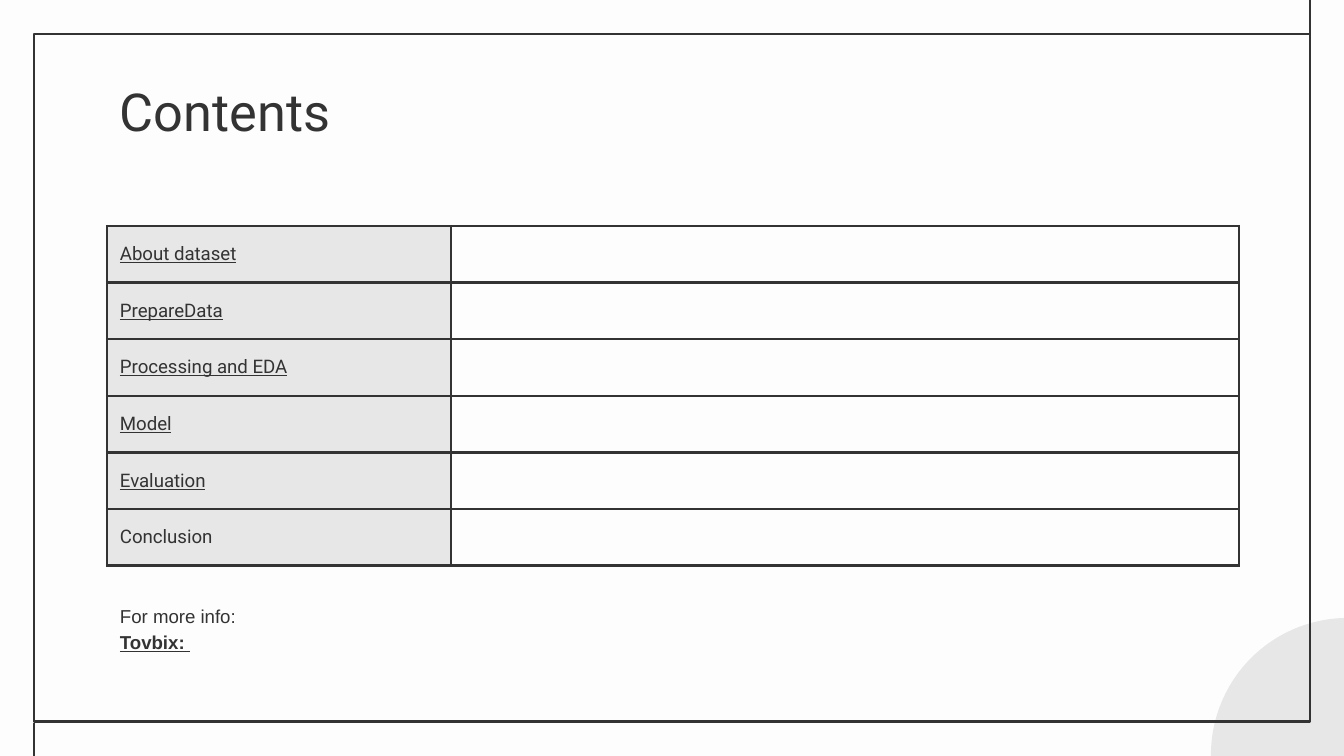
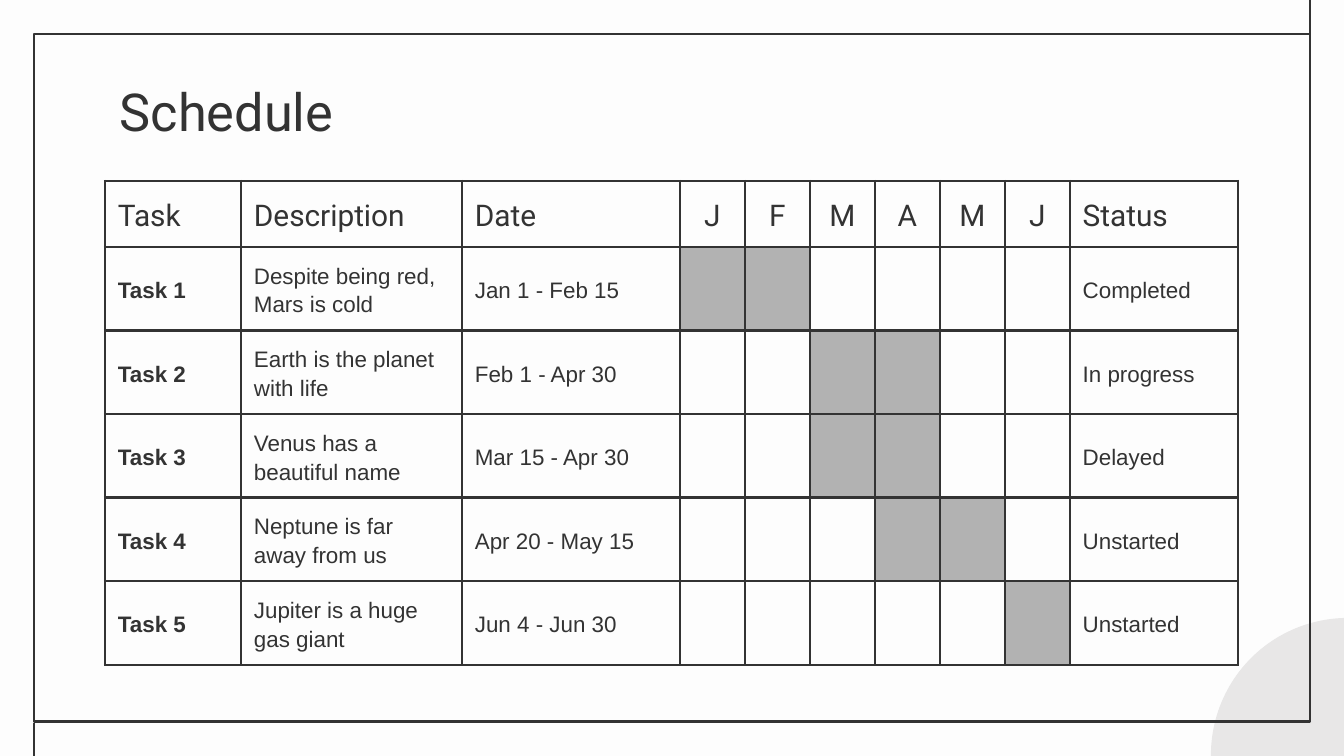
from lxml import etree
from pptx import Presentation
from pptx.dml.color import RGBColor
from pptx.enum.shapes import MSO_CONNECTOR, MSO_SHAPE
from pptx.enum.text import MSO_ANCHOR, PP_ALIGN
from pptx.oxml.ns import qn
from pptx.util import Pt

PX = 914400 / 134.4
INSET = round(13 * PX)

INK = RGBColor(0x33, 0x33, 0x33)
PAPER = RGBColor(0xFD, 0xFD, 0xFD)
PALE = RGBColor(0xE8, 0xE7, 0xE7)
BAR = RGBColor(0xB2, 0xB2, 0xB2)

OVAL, RECTANGLE = MSO_SHAPE.OVAL, MSO_SHAPE.RECTANGLE
STRAIGHT = MSO_CONNECTOR.STRAIGHT
MIDDLE = MSO_ANCHOR.MIDDLE
LEFT, CENTER = PP_ALIGN.LEFT, PP_ALIGN.CENTER


def write(frame, text, size=12, font="Arial", bold=False, underline=False,
          align=LEFT, spacing=1.0):
    """Append a run to the last paragraph of a text frame."""
    paragraph = frame.paragraphs[-1]
    paragraph.alignment = align
    paragraph.line_spacing = spacing
    run = paragraph.add_run()
    run.text = text
    run.font.size = Pt(size)
    run.font.name = font
    run.font.bold = bold
    run.font.underline = underline
    run.font.color.rgb = INK


def add_grid(slide, left, top, widths, heights):
    """Add a ruled table with unfilled, vertically centred cells."""
    box = (left, top, sum(widths), sum(heights))
    table = slide.shapes.add_table(len(heights), len(widths),
                                   *(round(n * PX) for n in box)).table
    table.first_row = table.horz_banding = False
    for column, width in zip(table.columns, widths):
        column.width = round(width * PX)
    for row, height in zip(table.rows, heights):
        row.height = round(height * PX)
    for cell in table.iter_cells():
        cell.vertical_anchor = MIDDLE
        cell.margin_left = cell.margin_right = INSET
        cell.margin_top = cell.margin_bottom = 0
        properties = cell._tc.get_or_add_tcPr()
        for side in ("a:lnL", "a:lnR", "a:lnT", "a:lnB"):
            border = etree.SubElement(properties, qn(side), w=str(Pt(1.5)))
            fill = etree.SubElement(border, qn("a:solidFill"))
            etree.SubElement(fill, qn("a:srgbClr"), val=str(INK))
        cell.fill.background()
    return table


prs = Presentation()
prs.slide_width, prs.slide_height = round(1344 * PX), round(756 * PX)

# Background, frame and title of every slide
slides = []
for title in ("Contents", "Schedule"):
    slide = prs.slides.add_slide(prs.slide_layouts[6])
    slides.append(slide)
    slide.background.fill.solid()
    slide.background.fill.fore_color.rgb = PAPER

    corner = slide.shapes.add_shape(
        OVAL, *(round(n * PX) for n in (1211, 618, 274, 274)))
    corner.shadow.inherit = False
    corner.fill.solid()
    corner.fill.fore_color.rgb = PALE
    corner.line.fill.background()

    for x, y1, y2 in ((1310, 35, -7), (34, 765, 723)):
        tail = slide.shapes.add_connector(
            STRAIGHT, *(round(n * PX) for n in (x, y1, x, y2)))
        tail.line.color.rgb = INK
        tail.line.width = Pt(1.5)
        etree.SubElement(tail._element.spPr, qn("a:effectLst"))

    border = slide.shapes.add_shape(
        RECTANGLE, *(round(n * PX) for n in (34, 34, 1276, 688)))
    border.shadow.inherit = False
    border.fill.background()
    border.line.color.rgb = INK
    border.line.width = Pt(1.5)

    heading = slide.shapes.add_textbox(
        *(round(n * PX) for n in (107, 66, 1133, 85))).text_frame
    heading.word_wrap = True
    heading.margin_left = heading.margin_top = INSET
    write(heading, title, size=28, font="Roboto")

contents, schedule = slides

# Contents
sections = ["About dataset", "PrepareData", "Processing and EDA",
            "Model", "Evaluation", "Conclusion"]
index = add_grid(contents, 107, 226, [344, 788],
                 [340 / len(sections)] * len(sections))
for row, section in enumerate(sections):
    cell = index.cell(row, 0)
    cell.fill.solid()
    cell.fill.fore_color.rgb = PALE
    write(cell.text_frame, section, size=10, font="Roboto",
          underline=section != "Conclusion")

more_info = contents.shapes.add_textbox(
    *(round(n * PX) for n in (107, 589, 683, 67))).text_frame
more_info.word_wrap = True
more_info.margin_left = more_info.margin_top = INSET
write(more_info, "For more info:", size=10, spacing=1.15)
more_info.paragraphs[0].add_line_break()
write(more_info, "Tovbix: ", size=10, bold=True, underline=True, spacing=1.15)

# Schedule: task, description, date, status, busy months (0 is January)
tasks = [
    ("Task 1", "Despite being red, Mars is cold", "Jan 1 - Feb 15", "Completed", (0, 1)),
    ("Task 2", "Earth is the planet with life", "Feb 1 - Apr 30", "In progress", (2, 3)),
    ("Task 3", "Venus has a beautiful name", "Mar 15 - Apr 30", "Delayed", (2, 3)),
    ("Task 4", "Neptune is far away from us", "Apr 20 - May 15", "Unstarted", (3, 4)),
    ("Task 5", "Jupiter is a huge gas giant", "Jun 4 - Jun 30", "Unstarted", (5,)),
]
headers = ["Task", "Description", "Date", *"JFMAMJ", "Status"]
FIRST_MONTH, STATUS = 3, 9
plan = add_grid(schedule, 105, 181, [136, 221, 218] + [65] * 6 + [168],
                [66] + [418 / len(tasks)] * len(tasks))
for column, header in enumerate(headers):
    is_month = FIRST_MONTH <= column < STATUS
    write(plan.cell(0, column).text_frame, header, size=16, font="Roboto",
          align=CENTER if is_month else LEFT, spacing=1.15)
for row, (task, description, date, status, months) in enumerate(tasks, start=1):
    for column, text in ((0, task), (1, description), (2, date), (STATUS, status)):
        write(plan.cell(row, column).text_frame, text, bold=column == 0,
              spacing=1.15)
    for month in months:
        busy = plan.cell(row, FIRST_MONTH + month)
        busy.fill.solid()
        busy.fill.fore_color.rgb = BAR

prs.save("out.pptx")
